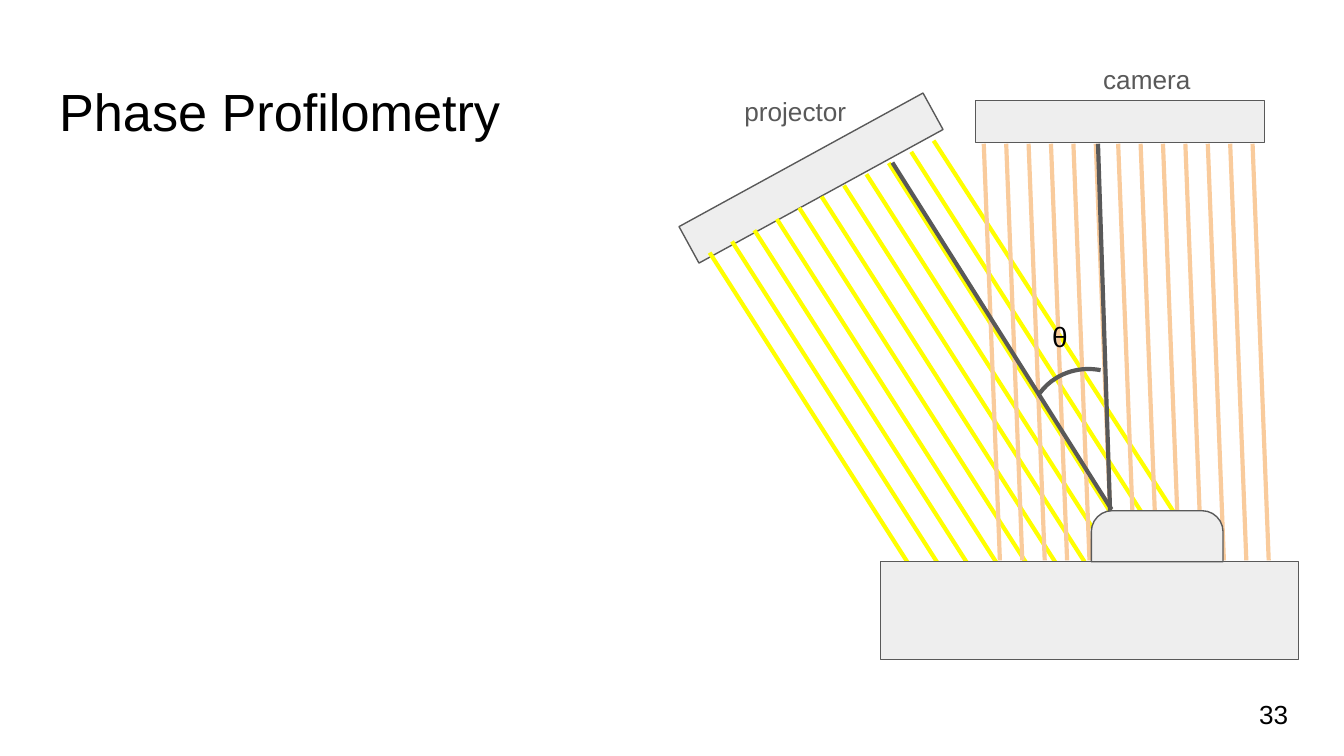
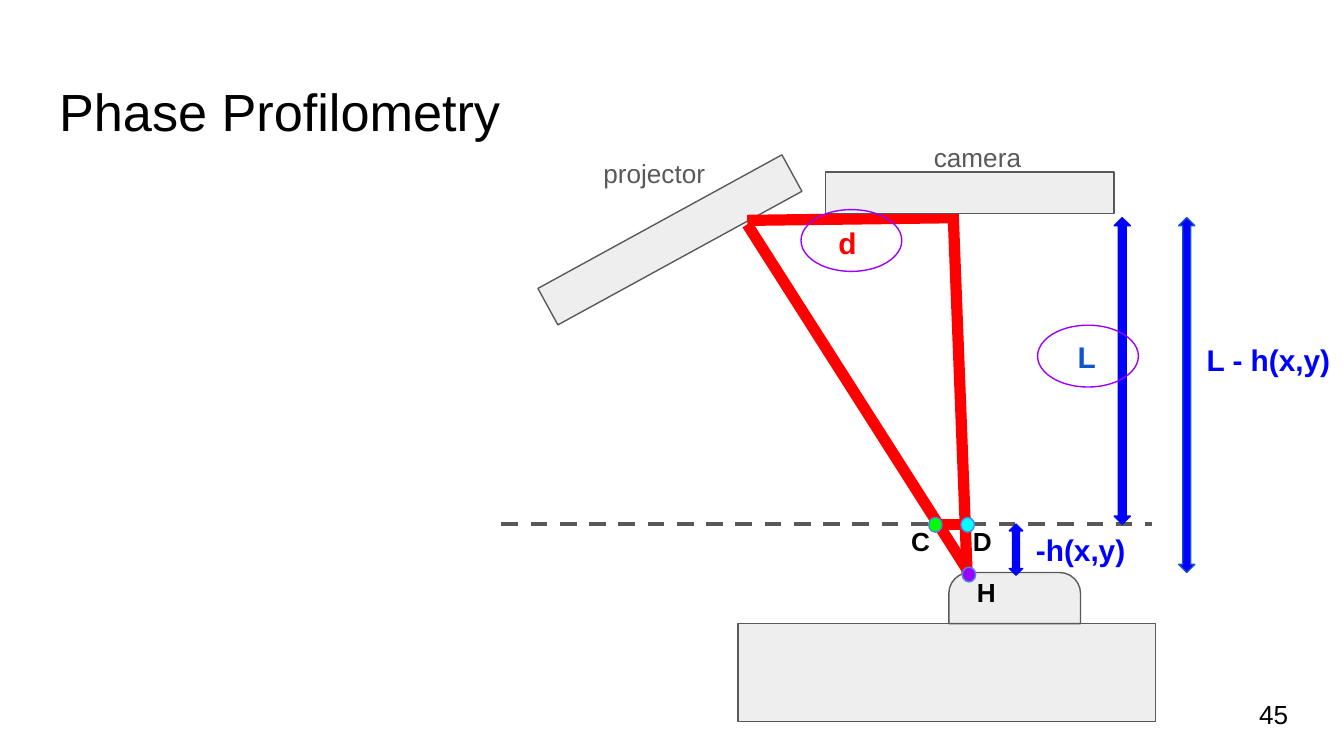
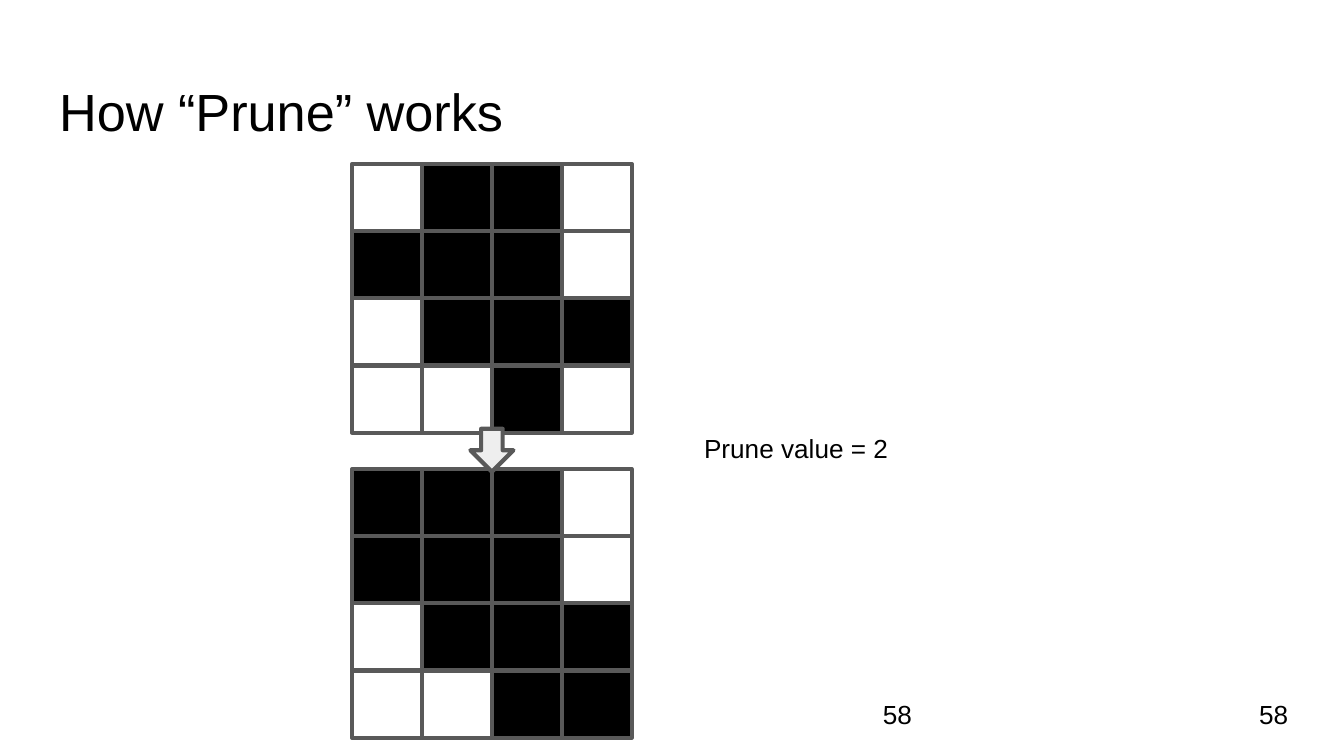
from lxml.etree import SubElement
from pptx import Presentation
from pptx.dml.color import RGBColor
from pptx.enum.dml import MSO_LINE
from pptx.enum.shapes import MSO_CONNECTOR, MSO_SHAPE
from pptx.enum.text import MSO_ANCHOR, MSO_AUTO_SIZE, PP_ALIGN
from pptx.oxml.ns import qn
from pptx.util import Inches, Pt

FONT = "Arial"
BLACK = RGBColor(0x00, 0x00, 0x00)
WHITE = RGBColor(0xFF, 0xFF, 0xFF)
GRAY = RGBColor(0x59, 0x59, 0x59)
LIGHT_GRAY = RGBColor(0xEE, 0xEE, 0xEE)
YELLOW = RGBColor(0xFF, 0xFF, 0x00)
PEACH = RGBColor(0xF9, 0xCB, 0x9C)
RED = RGBColor(0xFF, 0x00, 0x00)
BLUE = RGBColor(0x00, 0x00, 0xFF)
DARK_BLUE = RGBColor(0x11, 0x55, 0xCC)
SKY_BLUE = RGBColor(0x4A, 0x86, 0xE8)
PURPLE = RGBColor(0x99, 0x00, 0xFF)
GREEN = RGBColor(0x00, 0xFF, 0x00)
CYAN = RGBColor(0x00, 0xFF, 0xFF)

SLIDE_WIDTH = Inches(10)
SLIDE_HEIGHT = SLIDE_WIDTH * 9 // 16
THIN, MEDIUM, THICK = 0.75, 2.25, 6
CELL_WIDTH, CELL_HEIGHT = 0.52, 0.5
BEFORE_PRUNE = [".##.", "###.", ".###", "..#."]
AFTER_PRUNE = ["###.", "###.", ".###", "..##"]


def write_text(shape, text, size, color, bold=False, anchor=MSO_ANCHOR.TOP):
    """Put one left-aligned paragraph into a shape."""
    frame = shape.text_frame
    frame.text = text
    frame.word_wrap = True
    frame.auto_size = MSO_AUTO_SIZE.NONE
    frame.vertical_anchor = anchor
    frame.margin_left = frame.margin_right = Inches(0.1)
    frame.margin_top = frame.margin_bottom = Inches(0.1)
    paragraph = frame.paragraphs[0]
    paragraph.alignment = PP_ALIGN.LEFT
    font = paragraph.font
    font.name, font.size, font.bold = FONT, Pt(size), bold
    font.color.rgb = color


def add_text(slide, box, text, size=14, color=BLACK, **style):
    """Add a text box at (left, top, width, height)."""
    shape = slide.shapes.add_textbox(*map(Inches, box))
    write_text(shape, text, size, color, **style)


def add_shape(slide, kind, box, fill=LIGHT_GRAY, line=GRAY, width=THIN,
              rotation=0, adjustments=()):
    """Add a flat preset shape; a fill of None leaves it hollow."""
    shape = slide.shapes.add_shape(kind, *map(Inches, box))
    shape.shadow.inherit = False
    if fill is None:
        shape.fill.background()
    else:
        shape.fill.solid()
        shape.fill.fore_color.rgb = fill
    shape.line.color.rgb = line
    shape.line.width = Pt(width)
    shape.rotation = rotation
    for index, value in enumerate(adjustments):
        shape.adjustments[index] = value


def add_line(slide, start, end, color, width=MEDIUM, dash=None):
    """Add a straight line between two points."""
    connector = slide.shapes.add_connector(
        MSO_CONNECTOR.STRAIGHT, *map(Inches, (*start, *end)))
    connector.line.color.rgb = color
    connector.line.width = Pt(width)
    if dash is not None:
        connector.line.dash_style = dash
    SubElement(connector._element.spPr, qn("a:effectLst"))


def add_page_number(slide, number, left=9.27):
    """Add the page number in the footer band."""
    add_text(slide, (left, 5.1, 0.6, 0.43), number, anchor=MSO_ANCHOR.MIDDLE)


def add_titled_slide(presentation, title, number, title_width=9.32):
    """Add a slide with the shared title style and page number."""
    slide = presentation.slides.add_slide(presentation.slide_layouts[5])
    shape = slide.shapes.title
    shape.left, shape.top = Inches(0.34), Inches(0.49)
    shape.width, shape.height = Inches(title_width), Inches(0.63)
    write_text(shape, title, 28, BLACK)
    add_page_number(slide, number)
    return slide


def draw_projector(slide, left, top):
    """Draw the tilted projector and its label."""
    add_shape(slide, MSO_SHAPE.RECTANGLE, (left, top, 2.07, 0.31), rotation=331.3)
    add_text(slide, (left + 0.44, top - 0.56, 0.98, 0.38), "projector", color=GRAY)


def draw_camera(slide, left, top, label_left, label_top):
    """Draw the camera and its label, offset from the camera."""
    add_shape(slide, MSO_SHAPE.RECTANGLE, (left, top, 2.15, 0.31))
    add_text(slide, (left + label_left, top + label_top, 0.86, 0.38), "camera",
             color=GRAY)


def draw_object(slide, left, top):
    """Draw the base with the rounded bump standing on it."""
    add_shape(slide, MSO_SHAPE.RECTANGLE, (left, top, 3.11, 0.73))
    add_shape(slide, MSO_SHAPE.ROUND_2_SAME_RECTANGLE,
              (left + 1.57, top - 0.38, 0.98, 0.38), adjustments=(0.41, 0))


def draw_projector_rays(slide, left, top):
    """Draw the parallel yellow rays, the last three ending on the bump."""
    reaches = [(1.79, 2.8)] * 8 + [(2.03, 3.2), (2.09, 3.27), (2.14, 3.31)]
    for index, (across, down) in enumerate(reaches):
        x, y = left + index / 6, top - index / 12
        add_line(slide, (x, y), (x + across, y + down), YELLOW)


def draw_camera_rays(slide, left, top):
    """Draw the thirteen parallel camera rays."""
    for index in range(13):
        x = left + index / 6
        add_line(slide, (x, top), (x + 0.12, top + 3.1), PEACH)


def draw_angle(slide, left, top):
    """Draw the two axes that meet on the bump and the angle between them."""
    add_line(slide, (left, top + 0.14), (left + 1.63, top + 2.72), GRAY)
    add_line(slide, (left + 1.53, top), (left + 1.62, top + 2.74), GRAY)
    add_shape(slide, MSO_SHAPE.ARC, (left + 1.03, top + 1.66, 0.89, 0.93), None,
              width=MEDIUM, rotation=297.1, adjustments=(166.97, 205.51))
    add_text(slide, (left + 1.09, top + 1.21, 0.47, 0.31), "θ", 15)


def draw_triangles(slide, left, top):
    """Draw the similar red triangles between the devices and the bump."""
    add_line(slide, (left, top + 0.14), (left + 1.86, top + 3.06), RED, THICK)
    add_line(slide, (left + 1.53, top), (left + 1.65, top + 3.1), RED, THICK)
    add_line(slide, (left, top + 0.11), (left + 1.55, top + 0.09), RED, THICK)
    add_line(slide, (left + 1.41, top + 2.37), (left + 1.64, top + 2.37), RED, THICK)


def draw_points(slide, left, top):
    """Draw the points C, D and H with their letters."""
    points = [("C", 0, 0, GREEN, -0.23, -0.04), ("D", 0.24, 0, CYAN, -0.01, -0.04),
              ("H", 0.25, 0.37, PURPLE, 0.01, -0.03)]
    for letter, across, down, color, shift_x, shift_y in points:
        x, y = left + across, top + down
        add_text(slide, (x + shift_x, y + shift_y, 0.35, 0.38), letter, bold=True)
        add_shape(slide, MSO_SHAPE.OVAL, (x, y, 0.1, 0.11), color, SKY_BLUE)


def draw_measures(slide, left, top):
    """Draw the blue height arrows, the lengths and the purple rings."""
    arrows = [(1.55, 2.28, 0.1, 0.38, BLUE), (2.33, 0, 0.12, 2.28, BLUE),
              (2.81, 0, 0.12, 2.64, DARK_BLUE)]
    for across, down, width, height, line in arrows:
        add_shape(slide, MSO_SHAPE.UP_DOWN_ARROW,
                  (left + across, top + down, width, height), BLUE, line)
    lengths = [("-h(x,y)", 1.65, 2.24, 0.98, 0.46, BLUE),
               ("L - h(x,y)", 2.92, 0.82, 1.22, 0.58, BLUE),
               ("L", 1.96, 0.8, 0.35, 0.46, DARK_BLUE),
               ("d", 0.18, -0.05, 0.5, 0.42, RED)]
    for text, across, down, width, height, color in lengths:
        add_text(slide, (left + across, top + down, width, height), text, 16, color,
                 bold=True)
    for across, down in [(0, -0.06), (1.76, 0.8)]:
        add_shape(slide, MSO_SHAPE.OVAL, (left + across, top + down, 0.75, 0.46),
                  None, PURPLE)


def draw_grid(slide, left, top, pattern):
    """Draw a grid of cells, black where the pattern has a hash."""
    for row, marks in enumerate(pattern):
        for column, mark in enumerate(marks):
            box = (left + column * CELL_WIDTH, top + row * CELL_HEIGHT,
                   CELL_WIDTH, CELL_HEIGHT)
            add_shape(slide, MSO_SHAPE.RECTANGLE, box,
                      BLACK if mark == "#" else WHITE, width=MEDIUM)


def build_angle_slide(presentation):
    """Build the slide with the rays and the angle."""
    slide = add_titled_slide(presentation, "Phase Profilometry", "33")
    draw_camera(slide, 7.26, 0.75, 0.85, -0.38)
    draw_projector(slide, 5, 1.17)
    draw_projector_rays(slide, 5.28, 1.88)
    draw_camera_rays(slide, 7.32, 1.07)
    draw_angle(slide, 6.64, 1.07)
    draw_object(slide, 6.55, 4.18)


def build_triangle_slide(presentation):
    """Build the slide with the similar triangles."""
    slide = add_titled_slide(presentation, "Phase Profilometry", "45", 3.82)
    draw_projector(slide, 3.95, 1.63)
    add_line(slide, (3.73, 3.9), (8.57, 3.9), GRAY, dash=MSO_LINE.DASH)
    draw_triangles(slide, 5.56, 1.53)
    draw_object(slide, 5.49, 4.64)
    draw_camera(slide, 6.14, 1.28, 0.71, -0.33)
    draw_points(slide, 6.91, 3.85)
    draw_measures(slide, 5.96, 1.62)


def build_prune_slide(presentation):
    """Build the slide with the grids before and after pruning."""
    slide = add_titled_slide(presentation, "How “Prune” works", "58")
    draw_grid(slide, 2.62, 1.22, BEFORE_PRUNE)
    draw_grid(slide, 2.62, 3.49, AFTER_PRUNE)
    add_shape(slide, MSO_SHAPE.DOWN_ARROW, (3.5, 3.19, 0.32, 0.32), width=MEDIUM)
    add_text(slide, (5.14, 3.12, 1.73, 0.29), "Prune value = 2")
    add_page_number(slide, "58", 6.47)


def main():
    """Build and save the presentation."""
    presentation = Presentation()
    presentation.slide_width = SLIDE_WIDTH
    presentation.slide_height = SLIDE_HEIGHT
    build_angle_slide(presentation)
    build_triangle_slide(presentation)
    build_prune_slide(presentation)
    presentation.save("out.pptx")


if __name__ == "__main__":
    main()
